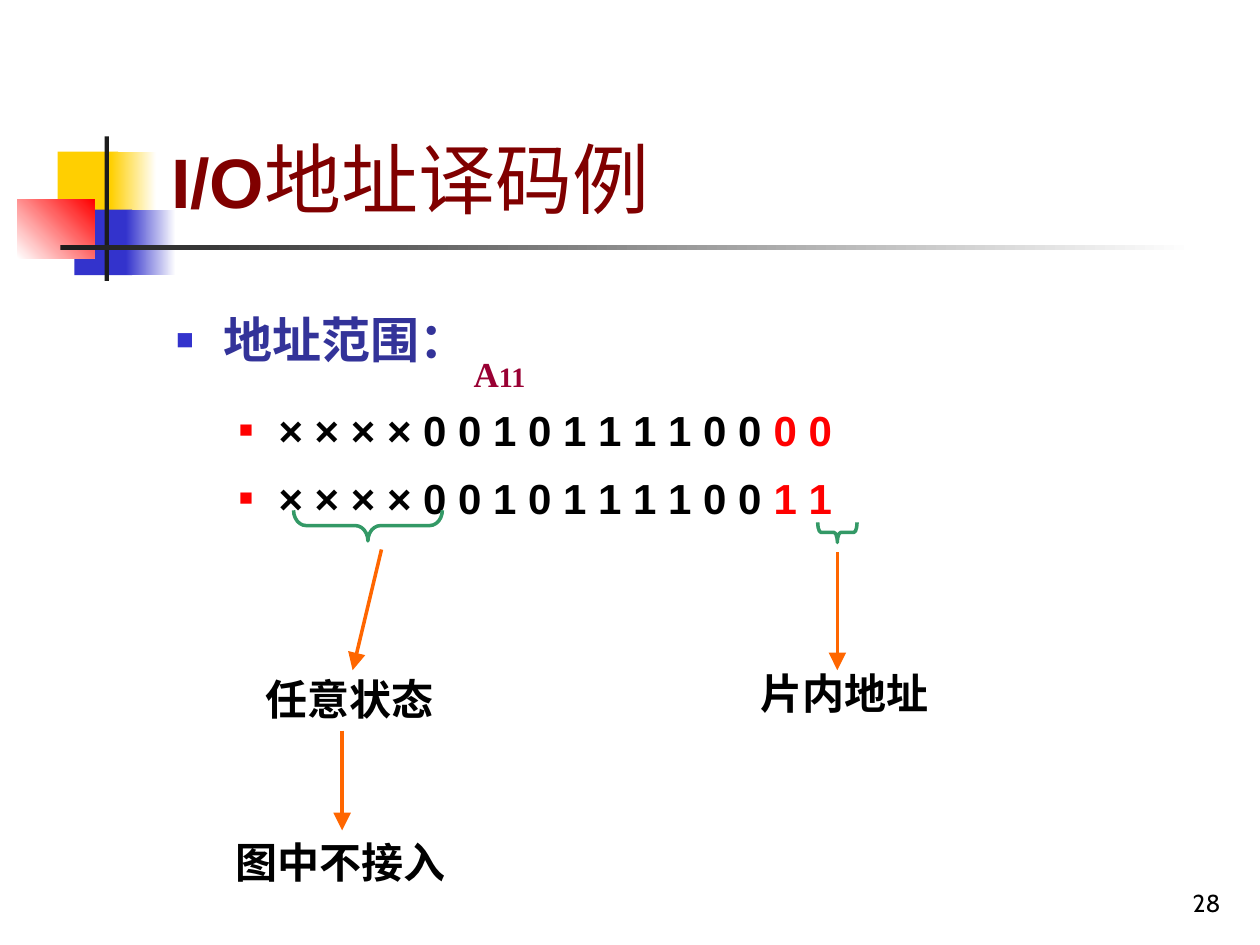
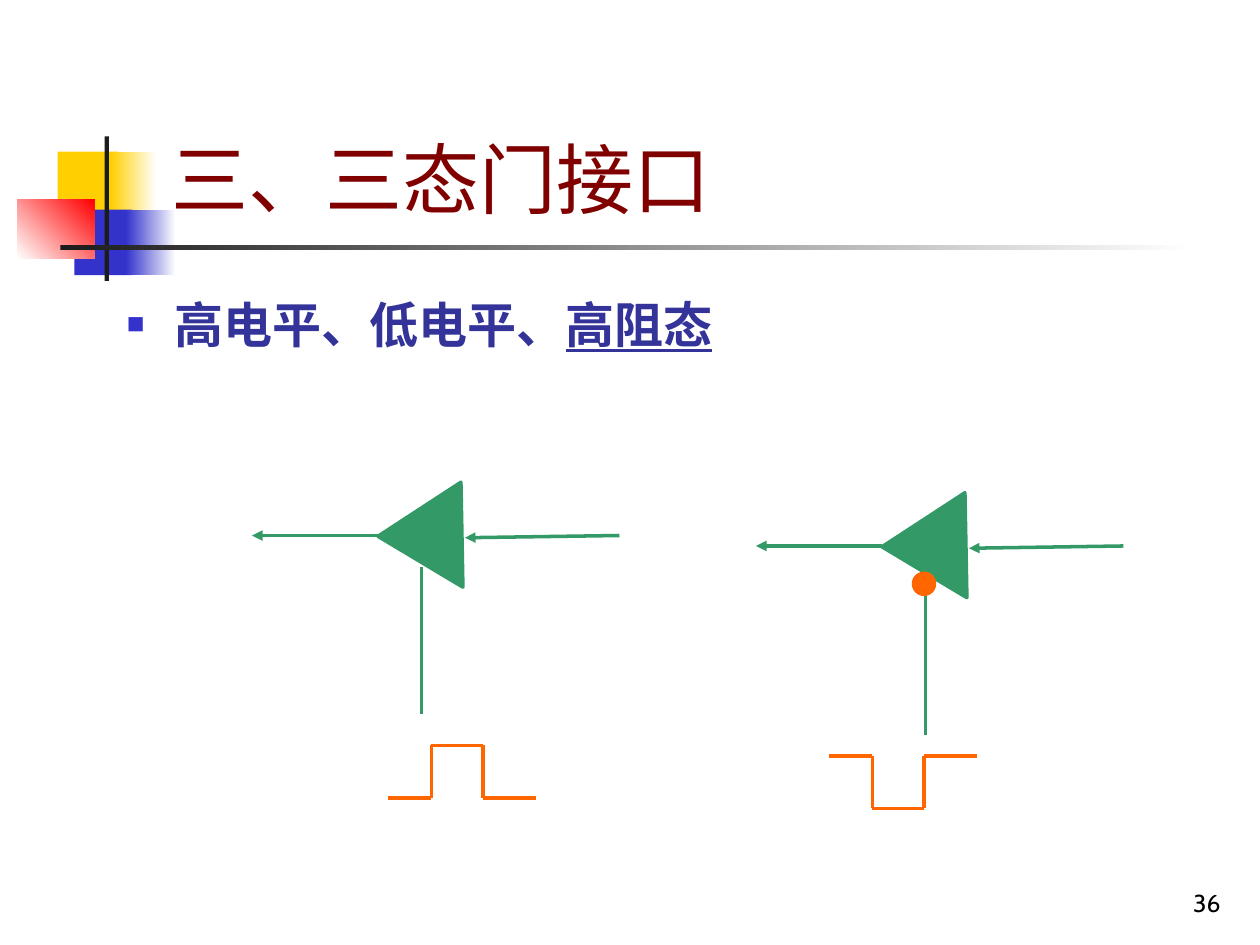
from lxml.etree import SubElement
from pptx import Presentation
from pptx.dml.color import RGBColor
from pptx.enum.shapes import MSO_CONNECTOR as Connector, MSO_SHAPE as Shape
from pptx.enum.text import MSO_ANCHOR as Anchor, PP_ALIGN as Align
from pptx.oxml.ns import qn
from pptx.util import Pt

# Shared colours and fonts
YELLOW, BLUE, RED, WHITE = "FFCF01", "3333CC", "FF0000", "FFFFFF"
BLACK, CHARCOAL, MAROON, NAVY = "000000", "1C1C1C", "800000", "333399"
GREEN, ORANGE, CRIMSON = "339966", "FF6600", "990033"
SANS, SERIF, NUMBER_FONT = "Arial", "Times New Roman", "Cabin"
LINE_WIDTH = 2


def rgb(color):
    return RGBColor.from_string(color)


# Basic parts
def add_shape(slide, kind, box, fill=None, fade=None, angle=0, line=None, rotation=0):
    """Add a preset shape; fade is the end colour of a gradient."""
    shape = slide.shapes.add_shape(kind, *map(Pt, box))
    shape.shadow.inherit = False
    shape.rotation = rotation
    if fade:
        shape.fill.gradient()
        shape.fill.gradient_angle = angle
        for stop, color in zip(shape.fill.gradient_stops, (fill, fade)):
            stop.color.rgb = rgb(color)
    elif fill:
        shape.fill.solid()
        shape.fill.fore_color.rgb = rgb(fill)
    else:
        shape.fill.background()
    if line:
        shape.line.color.rgb = rgb(line)
        shape.line.width = Pt(LINE_WIDTH)
    else:
        shape.line.fill.background()
    return shape


def add_line(slide, start, end, color, arrow=None, arrow_size="med"):
    """Add a straight line; arrow is headEnd (at start) or tailEnd (at end)."""
    connector = slide.shapes.add_connector(
        Connector.STRAIGHT, *map(Pt, (*start, *end)))
    connector.line.color.rgb = rgb(color)
    connector.line.width = Pt(LINE_WIDTH)
    properties = connector.line._get_or_add_ln()
    if arrow:
        SubElement(properties, qn(f"a:{arrow}"),
                   type="triangle", w=arrow_size, len=arrow_size)
    SubElement(properties.getparent(), qn("a:effectLst"))


def add_text_frame(slide, box, anchor=Anchor.TOP):
    text_frame = slide.shapes.add_textbox(*map(Pt, box)).text_frame
    text_frame.word_wrap = True
    text_frame.vertical_anchor = anchor
    return text_frame


def add_run(paragraph, text, size, color, font=SANS, bold=True, underline=None):
    run = paragraph.add_run()
    run.text = text
    run.font.name = font
    run.font.size = Pt(size)
    run.font.bold = bold
    run.font.underline = underline
    run.font.color.rgb = rgb(color)


def format_bullet(paragraph, before, after, margin, hang, color, percent):
    paragraph.line_spacing = 1.1
    paragraph.space_before = Pt(before)
    paragraph.space_after = Pt(after)
    properties = paragraph._p.get_or_add_pPr()
    properties.set("marL", str(Pt(margin)))
    properties.set("indent", str(-Pt(hang)))
    bullet_color = SubElement(properties, qn("a:buClr"))
    SubElement(bullet_color, qn("a:srgbClr"), val=color)
    SubElement(properties, qn("a:buSzPct"), val=str(percent * 1000))
    SubElement(properties, qn("a:buFont"), typeface=SANS)
    SubElement(properties, qn("a:buChar"), char="■")


def format_main_bullet(paragraph, after):
    format_bullet(paragraph, 6.8, after, 27, 27, BLUE, 60)


# What every slide shares
def add_ornament(slide, left, top):
    def block(x, y, width, height, *colors, angle=0):
        add_shape(slide, Shape.RECTANGLE, (left + x, top + y, width, height),
                  *colors, angle=angle)

    block(23, 8.6, 34.5, 37.5, YELLOW)
    block(53.3, 8.6, 26, 37.5, YELLOW, WHITE)
    block(32.5, 41.8, 33, 37.5, BLUE)
    block(62, 41.8, 28.5, 37.5, BLUE, WHITE)
    block(0, 36, 44, 33.5, WHITE, RED, angle=45)
    block(49.8, 0, 2.5, 82.5, CHARCOAL)
    block(24.5, 62.3, 648, 2.5, CHARCOAL, WHITE)


def add_frame(presentation, title_runs, number):
    """Start a slide with ornament, page number and title."""
    slide = presentation.slides.add_slide(presentation.slide_layouts[6])
    add_ornament(slide, 10, 78)
    paragraph = add_text_frame(slide, (554.5, 492, 150, 36), Anchor.BOTTOM).paragraphs[0]
    paragraph.alignment = Align.RIGHT
    add_run(paragraph, number, 14, BLACK, NUMBER_FONT, bold=False)
    paragraph = add_text_frame(slide, (90.7, 16.5, 613.5, 115.2), Anchor.BOTTOM).paragraphs[0]
    for text, size, bold in title_runs:
        add_run(paragraph, text, size, MAROON, bold=bold)
    return slide


# Address decoding slide
def add_address_range(slide, box):
    text_frame = add_text_frame(slide, box)
    paragraph = text_frame.paragraphs[0]
    format_main_bullet(paragraph, after=11.8)
    add_run(paragraph, "地址范围：", 28, NAVY)
    for chip_bits in ("0 0", "1 1"):
        paragraph = text_frame.add_paragraph()
        format_bullet(paragraph, 5.8, 1.5, 58.5, 22.5, RED, 55)
        add_run(paragraph, "× × × × 0 0 1 0 1 1 1 1 0 0 ", 24, BLACK)
        add_run(paragraph, chip_bits, 24, RED)


def add_brace(slide, box, curve):
    brace = add_shape(slide, Shape.LEFT_BRACE, box, line=GREEN, rotation=270)
    brace.adjustments[0] = curve
    brace.adjustments[1] = 0.5


def add_bit_notes(slide, left, top):
    """Braces under the bits, with arrows to what the bits mean."""
    add_brace(slide, (left + 74, top + 59.8, 17.5, 85), 0.414)
    add_brace(slide, (left + 345.3, top + 95, 11.5, 22.5), 0.165)
    for start, end in (((90.5, 116), (74, 185)),
                       ((351, 117.5), (351, 185)),
                       ((68, 219.5), (68, 276.5))):
        add_line(slide, (left + start[0], top + start[1]),
                 (left + end[0], top + end[1]), ORANGE, "tailEnd", "lg")
    for text, x, y, width in (("任意状态", 17, 183.6, 119),
                              ("片内地址", 300, 180, 119),
                              ("图中不接入", 0, 276.5, 158.5)):
        paragraph = add_text_frame(slide, (left + x, top + y, width, 36)).paragraphs[0]
        add_run(paragraph, text, 24, BLACK, SERIF)
    # Name of the first decoded address line
    paragraph = add_text_frame(slide, (left + 136, top, 51, 31)).paragraphs[0]
    add_run(paragraph, "A", 20, CRIMSON, SERIF)
    add_run(paragraph, "11", 16, CRIMSON, SERIF)


def add_address_slide(presentation):
    title = [("I/O", 40, True), ("地址译码例", 44, False)]
    slide = add_frame(presentation, title, "28")
    add_address_range(slide, (93.6, 170, 522, 139.7))
    add_bit_notes(slide, 127.5, 198)


# Tri-state gate slide
def add_pulse(slide, left, rest, active):
    """Step from the rest level to the active level and back."""
    corners = [(0, rest), (24.5, rest), (24.5, active),
               (54, active), (54, rest), (84, rest)]
    points = [(left + x, y) for x, y in corners]
    for start, end in zip(points, points[1:]):
        add_line(slide, start, end, ORANGE)


def add_gate(slide, left, top, active_low, pulse_left):
    add_shape(slide, Shape.ISOSCELES_TRIANGLE, (left + 66, top, 60, 48),
              GREEN, line=GREEN, rotation=268.9)
    add_line(slide, (left, top + 24), (left + 72, top + 24), GREEN, "headEnd")
    add_line(slide, (left + 121.7, top + 25.3), (left + 210, top + 24), GREEN, "headEnd")
    # Enable input, with a bubble if it is active low
    enable_top = top + (47.5 if active_low else 42)
    add_line(slide, (left + 97, enable_top), (left + 97, enable_top + 84.3), GREEN)
    if active_low:
        add_shape(slide, Shape.OVAL, (left + 90, top + 39.6, 12, 12), ORANGE, line=ORANGE)
    high, low = top + 144, top + 174
    rest, active = (high, low) if active_low else (low, high)
    add_pulse(slide, left + pulse_left, rest, active)


def add_gate_slide(presentation):
    slide = add_frame(presentation, [("三、三态门接口", 44, False)], "36")
    paragraph = add_text_frame(slide, (65.5, 161.3, 612, 75)).paragraphs[0]
    format_main_bullet(paragraph, after=1.7)
    add_run(paragraph, "高电平、低电平、", 28, NAVY)
    add_run(paragraph, "高阻态", 28, NAVY, underline=True)
    add_gate(slide, 144, 282, active_low=False, pulse_left=78)
    add_gate(slide, 432, 288, active_low=True, pulse_left=42)


def main():
    presentation = Presentation()
    presentation.slide_width, presentation.slide_height = Pt(720), Pt(540)
    add_address_slide(presentation)
    add_gate_slide(presentation)
    presentation.save("out.pptx")


if __name__ == "__main__":
    main()
